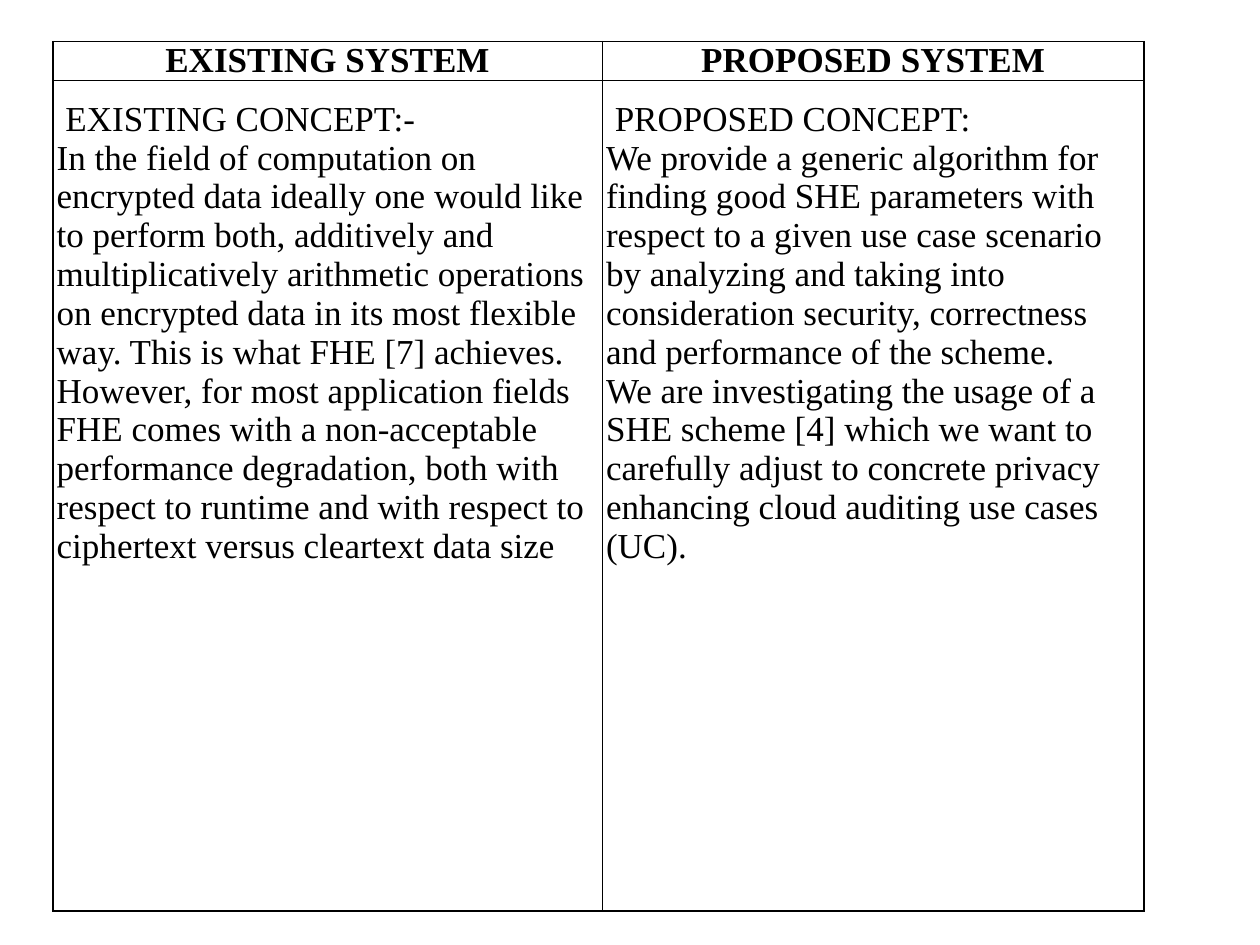
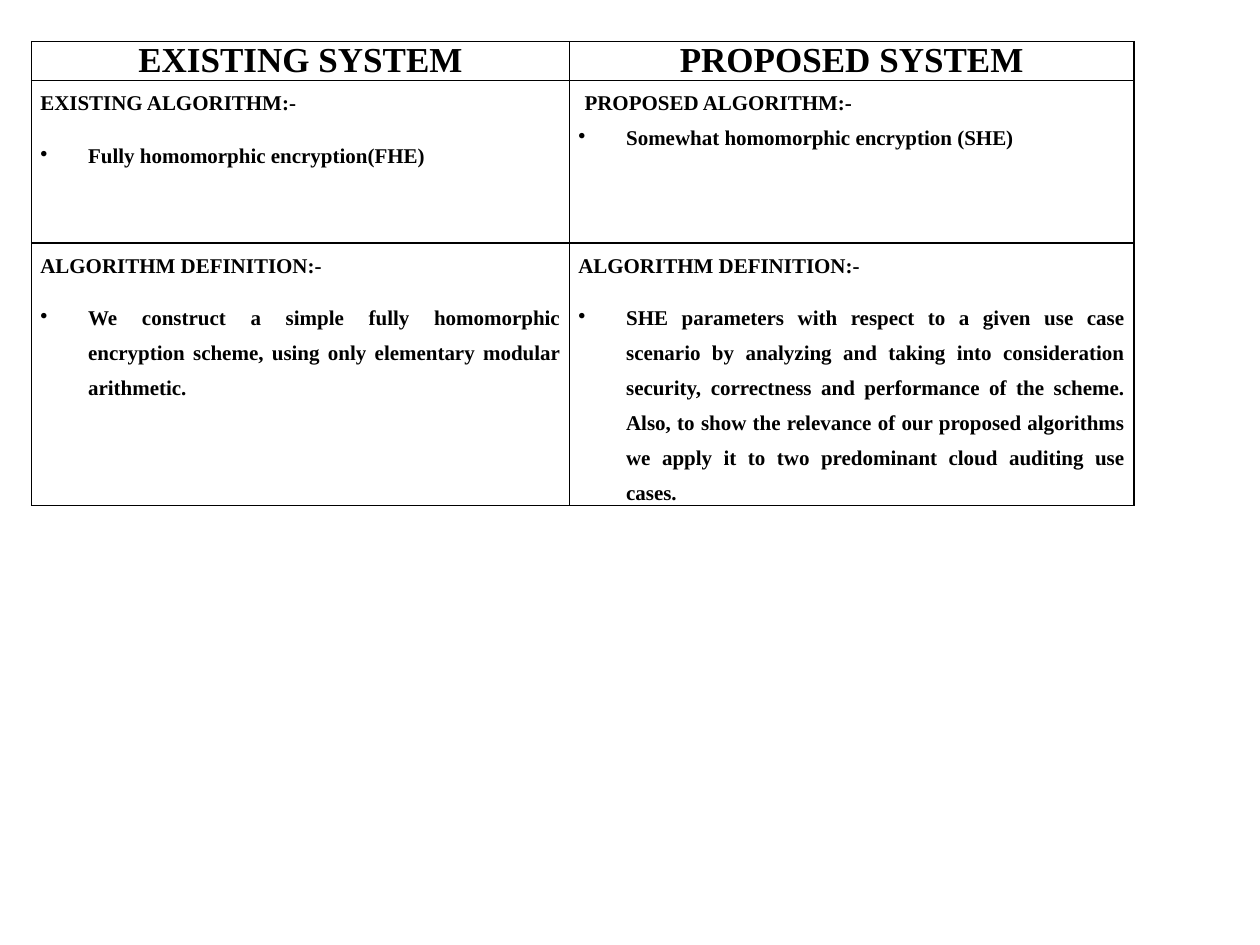
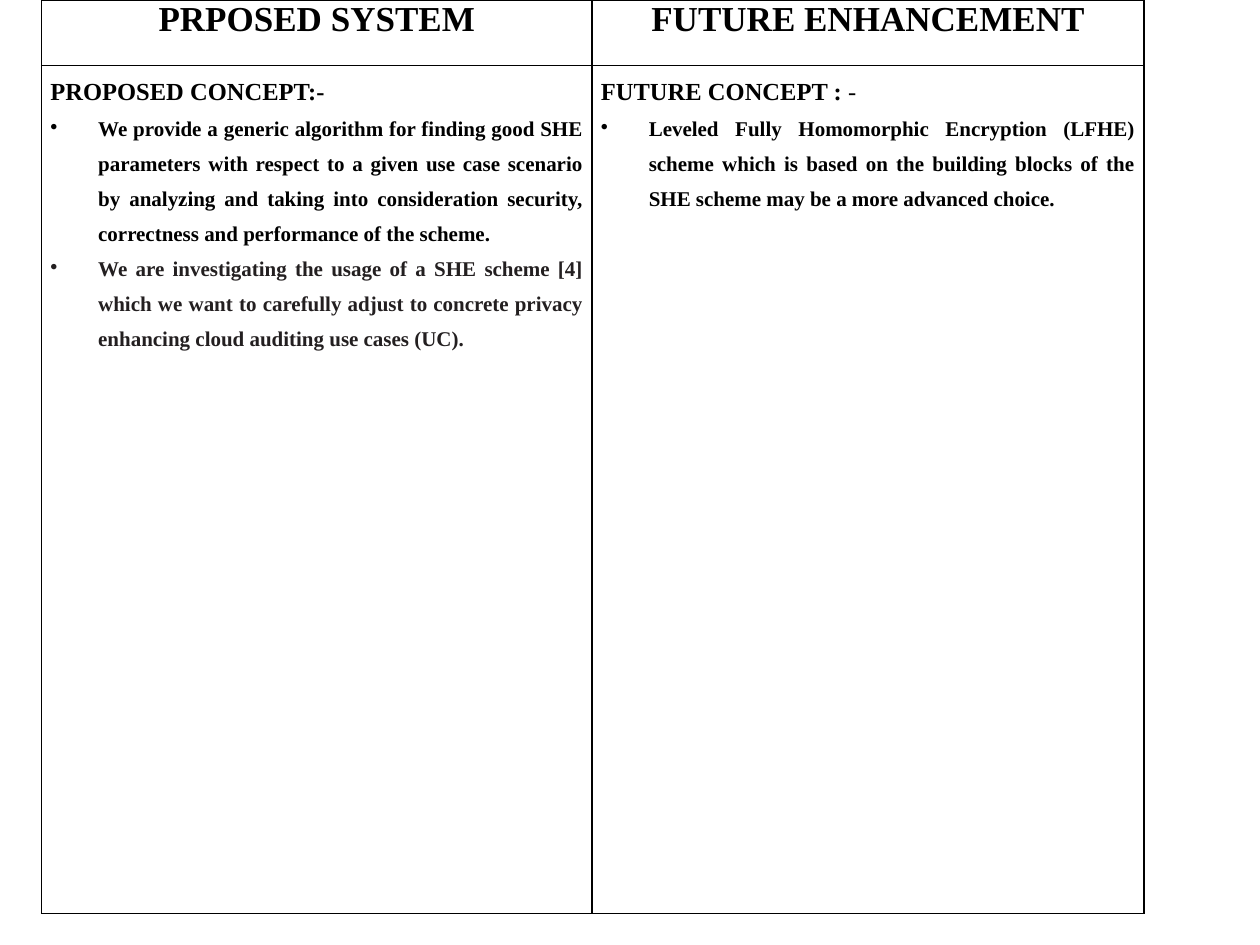
"""Build three slides that compare systems in bordered two-column tables."""
from dataclasses import dataclass, field
from typing import NamedTuple

from lxml import etree
from pptx import Presentation
from pptx.dml.color import RGBColor
from pptx.enum import text
from pptx.oxml import ns
from pptx.util import Inches, Pt

CENTER, JUSTIFY = text.PP_ALIGN.CENTER, text.PP_ALIGN.JUSTIFY
LEFT = text.PP_ALIGN.LEFT


@dataclass(frozen=True)
class Theme:
    font: str = "Times New Roman"
    ink: str = "000000"
    soft_ink: str = "231F20"
    heading: int = 20
    label: int = 14
    body: int = 12
    border: float = 1
    bullet_indent: float = 0.38
    narrow_inset: float = 0.03
    wide_inset: float = 0.07


THEME = Theme()


@dataclass(frozen=True)
class Para:
    text: str
    size: int = THEME.body
    bold: bool = True
    color: str = THEME.ink
    align: text.PP_ALIGN = JUSTIFY
    spacing: float = 1.5
    before: float = 0
    after: float = 0
    left: float = 0
    first: float = 0
    bullet: bool = False
    light_tail: str = ""


class Comparison(NamedTuple):
    left: float
    top: float
    columns: list[float]
    rows: list[float]
    headings: list[str]
    body: list[list[list[Para]]]
    inset: float = THEME.wide_inset


def heading(words: str) -> Para:
    """Describe a column heading."""
    return Para(words, THEME.heading, align=CENTER, spacing=1, before=6, after=6)


def bullet(words: str, **changes) -> Para:
    """Describe a bulleted paragraph with a hanging indent."""
    indent = THEME.bullet_indent
    return Para(words, left=indent, first=-indent, bullet=True, **changes)


def concept(title: str, *passages: str) -> list[Para]:
    """Describe a large plain label followed by its passages."""
    plain = {"size": THEME.heading, "bold": False, "align": LEFT}
    return [Para(title, **plain), *(Para(t, spacing=1, **plain) for t in passages)]


def add_run(p, words: str, para: Para, bold: bool) -> None:
    """Add one formatted run to a paragraph."""
    r = p.add_run()
    r.text = words
    r.font.name, r.font.size, r.font.bold = THEME.font, Pt(para.size), bold
    r.font.color.rgb = RGBColor.from_string(para.color)


def write_para(p, para: Para) -> None:
    """Fill a paragraph with its text, spacing, indents and bullet."""
    add_run(p, para.text, para, para.bold)
    if para.light_tail:
        add_run(p, para.light_tail, para, False)
    p.alignment, p.line_spacing = para.align, para.spacing
    p.space_before, p.space_after = Pt(para.before), Pt(para.after)
    props = p._p.get_or_add_pPr()
    props.set("marL", str(Inches(para.left)))
    props.set("indent", str(Inches(para.first)))
    if para.bullet:
        etree.SubElement(props, ns.qn("a:buChar"), char="•")


def add_borders(cell) -> None:
    """Draw a solid line on all four sides of a cell."""
    props = cell._tc.get_or_add_tcPr()
    for i, side in enumerate("LRTB"):
        line = etree.Element(ns.qn(f"a:ln{side}"), w=str(Pt(THEME.border)))
        fill = etree.SubElement(line, ns.qn("a:solidFill"))
        etree.SubElement(fill, ns.qn("a:srgbClr"), val=THEME.ink)
        props.insert(i, line)


def write_cell(cell, paras: list[Para], inset: float) -> None:
    """Format a cell and write its paragraphs."""
    cell.fill.background()
    add_borders(cell)
    cell.margin_left = cell.margin_right = Inches(inset)
    cell.margin_top = cell.margin_bottom = 0
    tf = cell.text_frame
    for i, para in enumerate(paras):
        write_para(tf.add_paragraph() if i else tf.paragraphs[0], para)


def add_comparison(prs, item: Comparison) -> None:
    """Add a slide holding one comparison table."""
    s = prs.slides.add_slide(prs.slide_layouts[6])
    table = s.shapes.add_table(
        len(item.rows), len(item.columns), Inches(item.left), Inches(item.top),
        Inches(sum(item.columns)), Inches(sum(item.rows))).table
    table.first_row = table.horz_banding = False
    for column, width in zip(table.columns, item.columns):
        column.width = Inches(width)
    for row, height in zip(table.rows, item.rows):
        row.height = Inches(height)
    contents = [[[heading(h)] for h in item.headings], *item.body]
    for i, (row, cells) in enumerate(zip(table.rows, contents)):
        for cell, paras in zip(row.cells, cells):
            write_cell(cell, paras, item.inset if i else THEME.narrow_inset)


GENERIC_ALGORITHM = (
    "We provide a generic algorithm for finding good SHE parameters with respect to "
    "a given use case scenario by analyzing and taking into consideration security, "
    "correctness and performance of the scheme.")
SCHEME_USAGE = (
    "We are investigating the usage of a SHE scheme [4] which we want to carefully "
    "adjust to concrete privacy enhancing cloud auditing use cases (UC).")
SYSTEMS = ["EXISTING SYSTEM", "PROPOSED SYSTEM"]
DEFINITION = Para("ALGORITHM DEFINITION:-", after=10)

COMPARISONS = [
    Comparison(0.42, 0.33, [4.36, 4.3], [0.25, 6.59], SYSTEMS, [[
        concept(
            " EXISTING CONCEPT:-",
            "In the field of computation on encrypted data ideally one would like to "
            "perform both, additively and multiplicatively arithmetic operations on "
            "encrypted data in its most flexible way. This is what FHE [7] achieves.",
            "However, for most application fields FHE comes with a non-acceptable "
            "performance degradation, both with respect to runtime and with respect "
            "to ciphertext versus cleartext data size"),
        concept(" PROPOSED CONCEPT:", GENERIC_ALGORITHM, SCHEME_USAGE),
    ]], THEME.narrow_inset),
    Comparison(0.25, 0.33, [4.27, 4.48], [0.16, 1.29, 1.39], SYSTEMS, [
        [
            [Para("EXISTING ALGORITHM:-", align=LEFT, after=10),
             bullet("Fully homomorphic encryption(FHE)", align=LEFT)],
            [Para("PROPOSED ALGORITHM:-", left=0.05),
             bullet("Somewhat homomorphic encryption (SHE)", align=LEFT)],
        ],
        [
            [DEFINITION, bullet(
                "We construct a simple fully homomorphic encryption scheme, using "
                "only elementary modular arithmetic.")],
            [DEFINITION, bullet(
                "SHE parameters with respect to a given use case scenario by analyzing "
                "and taking into consideration security, correctness and performance "
                "of the scheme. Also, to show the relevance of our proposed algorithms "
                "we apply it to two predominant cloud auditing use cases.")],
        ],
    ]),
    Comparison(0.33, 0, [4.37, 4.38], [0.52, 6.73],
               ["PRPOSED SYSTEM", "FUTURE ENHANCEMENT"], [[
        [Para("PROPOSED CONCEPT:-", THEME.label),
         bullet(GENERIC_ALGORITHM),
         bullet(SCHEME_USAGE, color=THEME.soft_ink)],
        [Para("FUTURE CONCEPT :", THEME.label, left=0.11, first=-0.11,
              light_tail=" -"),
         bullet("Leveled Fully Homomorphic Encryption (LFHE) scheme which is based on "
                "the building blocks of the SHE scheme may be a more advanced choice.")],
    ]]),
]


def main() -> None:
    """Create and save the presentation."""
    prs = Presentation()
    prs.slide_width, prs.slide_height = Inches(10), Inches(7.5)
    for item in COMPARISONS:
        add_comparison(prs, item)
    prs.save("out.pptx")


if __name__ == "__main__":
    main()
